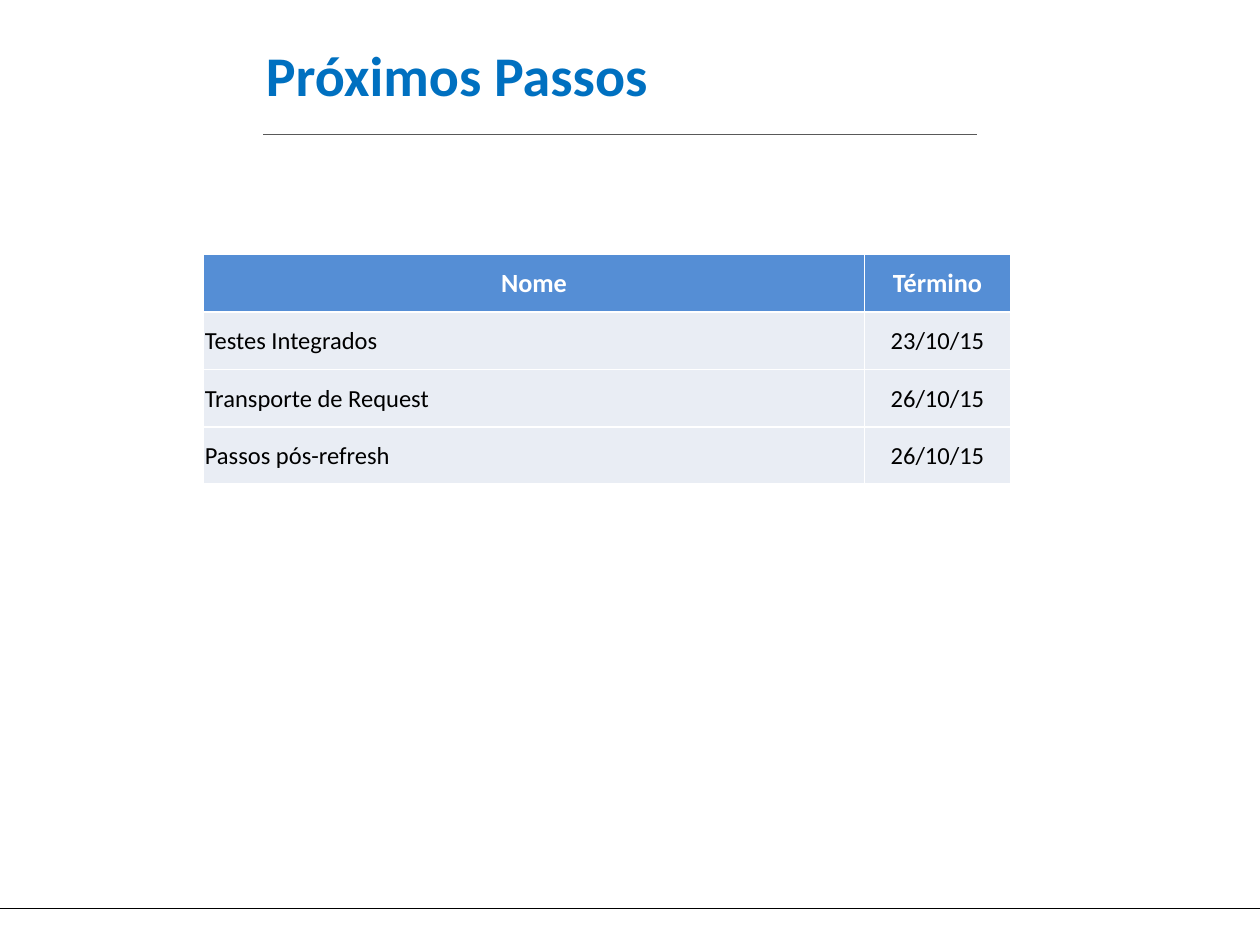
"""Build the next-steps slide with its schedule table."""
from lxml import etree
from pptx import Presentation
from pptx.dml.color import RGBColor
from pptx.enum.shapes import MSO_CONNECTOR
from pptx.enum.text import MSO_ANCHOR, PP_ALIGN
from pptx.oxml.ns import qn
from pptx.util import Pt

STRAIGHT = MSO_CONNECTOR.STRAIGHT
MIDDLE = MSO_ANCHOR.MIDDLE
LEFT, CENTER = PP_ALIGN.LEFT, PP_ALIGN.CENTER


def color(value):
    return RGBColor.from_string(value)


def add_text(paragraph, text, size, text_color, bold, alignment):
    paragraph.alignment = alignment
    run = paragraph.add_run()
    run.text = text
    run.font.name = "Calibri"
    run.font.size = Pt(size)
    run.font.bold = bold
    run.font.color.rgb = color(text_color)


presentation = Presentation()
presentation.slide_width, presentation.slide_height = Pt(720), Pt(540)
slide = presentation.slides.add_slide(presentation.slide_layouts[5])

rules = [(0, 720, 519.1, "000000", 0.75), (150.5, 558.5, 77, "595959", 0.5)]
for start, end, top, line_color, width in rules:
    rule = slide.shapes.add_connector(STRAIGHT, Pt(start), Pt(top), Pt(end), Pt(top))
    rule.line.color.rgb = color(line_color)
    rule.line.width = Pt(width)
    etree.SubElement(rule._element.spPr, qn("a:effectLst"))

title = slide.shapes.title
title.left, title.top, title.width, title.height = Pt(144.7), Pt(10.8), Pt(444.2), Pt(62.6)
title.text_frame.vertical_anchor = MIDDLE
add_text(title.text_frame.paragraphs[0], "Próximos Passos", 32, "0070C0", True, LEFT)

steps = [
    ("Nome", "Término"),
    ("Testes Integrados", "23/10/15"),
    ("Transporte de Request", "26/10/15"),
    ("Passos pós-refresh", "26/10/15"),
]
column_widths = [377.7, 83.5]
row_height = 32.8
table = slide.shapes.add_table(
    len(steps), len(column_widths), Pt(116.3), Pt(145.5),
    Pt(sum(column_widths)), Pt(row_height * len(steps)),
).table
for column, width in zip(table.columns, column_widths):
    column.width = Pt(width)

for row_index, step in enumerate(steps):
    table.rows[row_index].height = Pt(row_height)
    header = row_index == 0
    for column_index, text in enumerate(step):
        cell = table.cell(row_index, column_index)
        cell.vertical_anchor = MIDDLE
        cell.margin_left = cell.margin_right = cell.margin_top = Pt(0.75)
        cell.margin_bottom = Pt(0)
        properties = cell._tc.get_or_add_tcPr()
        for side in ("lnL", "lnR", "lnT", "lnB"):
            border = etree.SubElement(properties, qn(f"a:{side}"), w=str(Pt(1)))
            border_fill = etree.SubElement(border, qn("a:solidFill"))
            etree.SubElement(border_fill, qn("a:srgbClr"), val="FFFFFF")
        cell.fill.solid()
        cell.fill.fore_color.rgb = color("558ED5" if header else "E9EDF4")
        add_text(
            cell.text_frame.paragraphs[0], text, 15 if header else 14,
            "FFFFFF" if header else "000000", header,
            CENTER if header or column_index == 1 else LEFT,
        )

presentation.save("out.pptx")
